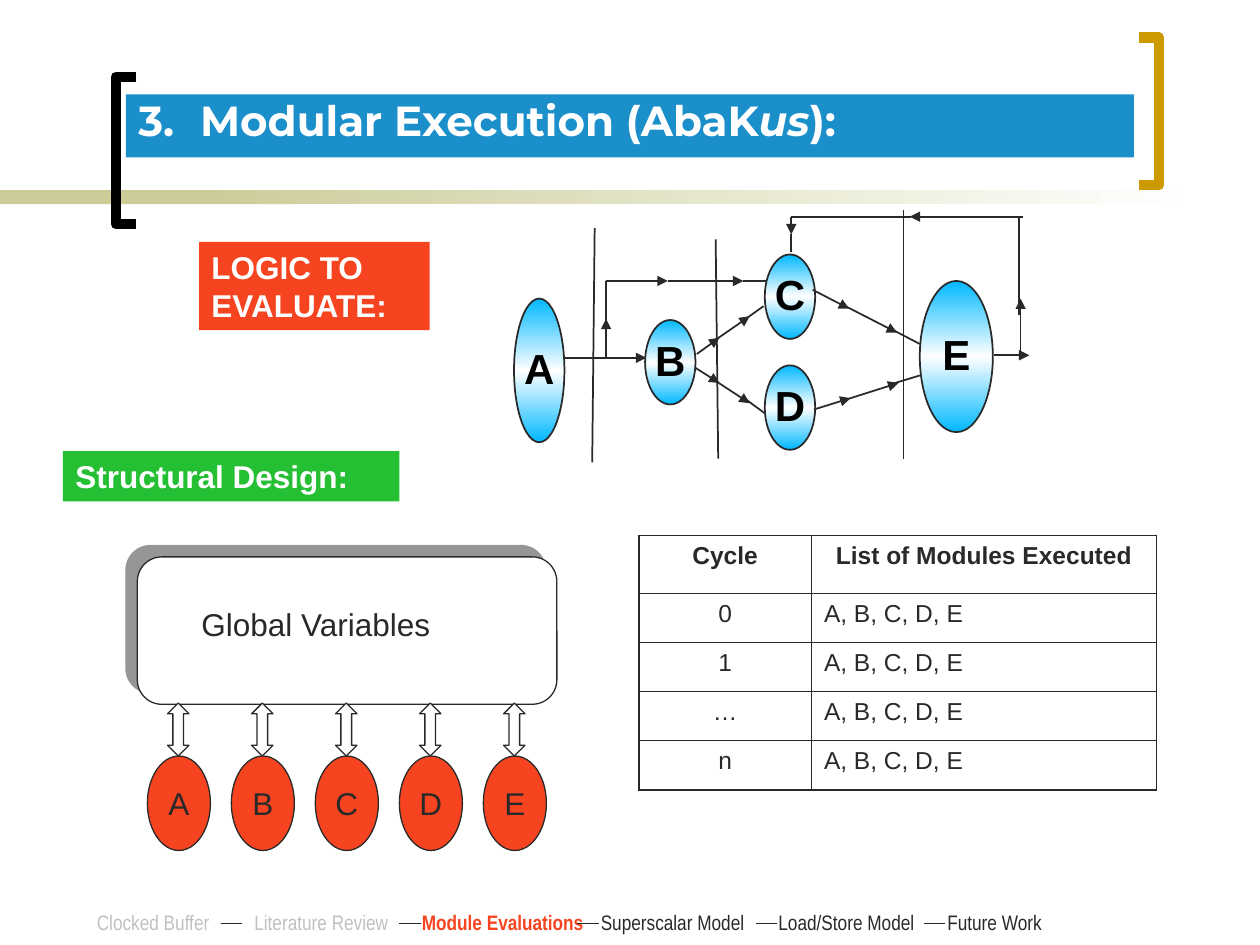
from dataclasses import dataclass
from typing import NamedTuple

from lxml.etree import SubElement
from pptx import Presentation
from pptx.dml.color import RGBColor
from pptx.enum.shapes import MSO_CONNECTOR as Connector, MSO_SHAPE as Preset
from pptx.enum.text import MSO_ANCHOR as Anchor, PP_ALIGN as Align
from pptx.oxml.ns import qn
from pptx.util import Emu, Inches, Pt


@dataclass(frozen=True)
class Theme:
    ink: str = "292929"
    black: str = "000000"
    white: str = "FFFFFF"
    sand: str = "CCCC99"
    gold: str = "CC9900"
    blue: str = "1A8FCA"
    sky: str = "00B8FF"
    red: str = "F64420"
    green: str = "25BF34"
    shade: str = "969696"
    faded: str = "C0C0C0"
    body: str = "Arial"
    heading: str = "Montserrat"
    narrow: str = "Arial Narrow"
    large: float = 24
    medium: float = 18
    cell: float = 14
    small: float = 12
    thin: float = 0.75
    wire: float = 1
    bracket: float = 6
    outer: float = 1.08
    inner: float = 0.45


class Box(NamedTuple):
    left: float
    top: float
    width: float
    height: float


class Node(NamedTuple):
    name: str
    box: Box


class Wire(NamedTuple):
    x1: float
    y1: float
    x2: float
    y2: float
    arrow: bool = False


class Step(NamedTuple):
    label: str
    left: float
    width: float
    color: str
    dash: float | None = None
    bold: bool = False


T = Theme()
NODES = [
    Node("A", Box(4.08, 2.37, 0.4, 1.14)), Node("B", Box(5.12, 2.54, 0.4, 0.67)),
    Node("C", Box(6.07, 2.02, 0.4, 0.67)), Node("D", Box(6.07, 2.9, 0.4, 0.67)),
    Node("E", Box(7.3, 2.23, 0.58, 1.2)),
]
STAGES = [Wire(4.72, 1.81, 4.7, 3.67), Wire(5.68, 1.9, 5.7, 3.64), Wire(7.17, 1.67, 7.17, 3.64)]
FEEDBACK = [
    Wire(7.89, 2.82, 8.17, 2.82, True), Wire(8.1, 2.84, 8.1, 2.37, True), Wire(8.09, 2.5, 8.09, 1.72),
    Wire(8.12, 1.72, 7.22, 1.72, True), Wire(7.23, 1.72, 6.28, 1.72),
    Wire(6.28, 1.72, 6.28, 1.86, True), Wire(6.28, 1.86, 6.28, 2),
]
FORWARD = [
    Wire(4.48, 2.84, 5.13, 2.84, True),
    Wire(4.81, 2.84, 4.81, 2.53, True), Wire(4.81, 2.6, 4.81, 2.23), Wire(4.81, 2.23, 5.13, 2.23),
    Wire(5.13, 2.23, 5.3, 2.23, True), Wire(5.3, 2.23, 5.81, 2.23),
    Wire(5.79, 2.23, 5.9, 2.23, True), Wire(5.9, 2.23, 6.09, 2.23),
    Wire(5.53, 2.81, 5.71, 2.68, True), Wire(5.69, 2.69, 5.95, 2.51, True), Wire(5.92, 2.53, 6.06, 2.43),
    Wire(5.52, 2.92, 5.71, 3.04, True), Wire(5.69, 3.03, 5.95, 3.2, True), Wire(5.92, 3.17, 6.07, 3.28),
    Wire(6.45, 2.3, 6.74, 2.45, True), Wire(6.71, 2.43, 7.12, 2.64, True), Wire(7.07, 2.61, 7.3, 2.73),
    Wire(6.46, 3.25, 6.75, 3.16, True), Wire(6.72, 3.17, 7.13, 3.04, True), Wire(7.07, 3.05, 7.3, 2.98),
]
STEPS = [
    Step("Clocked Buffer", 0.67, 1.25, T.faded), Step("Literature Review", 1.92, 1.42, T.faded, 1.75),
    Step("Module Evaluations", 3.25, 1.5, T.red, 3.17, True),
    Step("Superscalar Model", 4.67, 1.5, T.ink, 4.58),
    Step("Load/Store Model", 6.08, 1.5, T.ink, 6), Step("Future Work", 7.42, 1.75, T.ink, 7.33),
]


def place(box: Box) -> list[Emu]:
    return [Inches(value) for value in box]


def write(frame, *texts: str, size: float = T.medium, color: str = T.ink, font: str = T.body,
          bold: bool = False, italic: str = "", align=Align.LEFT, anchor=Anchor.TOP,
          wrap: bool = True, spacing: float = 1.0, hanging: float = 0) -> None:
    frame.word_wrap = wrap
    frame.vertical_anchor = anchor
    para = frame.paragraphs[0]
    para.alignment, para.line_spacing = align, spacing
    if hanging:
        properties = para._p.get_or_add_pPr()
        properties.set("marL", str(Inches(hanging)))
        properties.set("indent", str(-Inches(hanging)))
    for text in texts:
        span = para.add_run()
        span.text = text
        span.font.name, span.font.size = font, Pt(size)
        span.font.bold, span.font.italic = bold, text == italic
        span.font.color.rgb = RGBColor.from_string(color)


def add_gradient(fill, colors: list[str], angle: float) -> None:
    fill.gradient()
    fill.gradient_angle = angle
    stops = fill._xPr.find(qn("a:gradFill")).find(qn("a:gsLst"))
    for stop in list(stops):
        stops.remove(stop)
    for index, color in enumerate(colors):
        stop = SubElement(stops, qn("a:gs"), pos=str(100000 * index // (len(colors) - 1)))
        SubElement(stop, qn("a:srgbClr"), val=color)


def set_line(line, color: str, width: float) -> None:
    line.color.rgb = RGBColor.from_string(color)
    line.width = Pt(width)


def add_block(page, preset, box: Box, colors: list[str], line: str = "", width: float = T.thin, angle: float = 0):
    shape = page.shapes.add_shape(preset, *place(box))
    shape.shadow.inherit = False
    if len(colors) > 1:
        add_gradient(shape.fill, colors, angle)
    else:
        shape.fill.solid()
        shape.fill.fore_color.rgb = RGBColor.from_string(colors[0])
    if line:
        set_line(shape.line, line, width)
    else:
        shape.line.fill.background()
    return shape


def add_wire(page, wire: Wire, width: float = T.wire) -> None:
    ends = [Inches(value) for value in wire[:4]]
    connector = page.shapes.add_connector(Connector.STRAIGHT, *ends)
    set_line(connector.line, T.ink, width)
    properties = connector.element.spPr
    if wire.arrow:
        SubElement(properties.find(qn("a:ln")), qn("a:tailEnd"), type="triangle")
    SubElement(properties, qn("a:effectLst"))


def add_bracket(page, tip: float, spine: float, top: float, color: str) -> None:
    bottom = top + 1.17
    builder = page.shapes.build_freeform(Inches(tip), Inches(top))
    corners = [(spine, top), (spine, bottom), (tip, bottom)]
    builder.add_line_segments([(Inches(x), Inches(y)) for x, y in corners], close=False)
    shape = builder.convert_to_shape()
    shape.shadow.inherit = False
    shape.fill.background()
    set_line(shape.line, color, T.bracket)


def add_cycle_table(page) -> None:
    rows = [("Cycle", "List of Modules Executed")] + [(cycle, "A, B, C, D, E") for cycle in "01…n"]
    table = page.shapes.add_table(len(rows), 2, *place(Box(5.07, 4.25, 4.11, 2.02))).table
    table.first_row = table.horz_banding = False
    for column, width in zip(table.columns, (1.37, 2.74)):
        column.width = Inches(width)
    for r, texts in enumerate(rows):
        table.rows[r].height = Inches(0.39 if r else 0.46)
        for c, text in enumerate(texts):
            cell = table.cell(r, c)
            outer = {"lnL": c == 0, "lnR": c == 1, "lnT": r == 0, "lnB": r == len(rows) - 1}
            for side, is_outer in outer.items():
                width = Pt(T.outer if is_outer else T.inner)
                edge = SubElement(cell._tc.get_or_add_tcPr(), qn(f"a:{side}"), w=str(width))
                SubElement(SubElement(edge, qn("a:solidFill")), qn("a:srgbClr"), val=T.ink)
            cell.fill.background()
            centred = r == 0 or c == 0
            write(cell.text_frame, text, size=T.cell, bold=r == 0, align=Align.CENTER if centred else Align.LEFT)


def add_header(page) -> None:
    add_block(page, Preset.RECTANGLE, Box(0, 1.51, 2.33, 0.11), [T.sand])
    add_block(page, Preset.RECTANGLE, Box(1.58, 1.51, 7.92, 0.11), [T.sand, T.white])
    add_bracket(page, 1.08, 0.92, 0.61, T.black)
    add_bracket(page, 9.04, 9.2, 0.3, T.gold)
    title = add_block(page, Preset.RECTANGLE, Box(1, 0.75, 8, 0.5), [T.blue])
    write(title.text_frame, "3.\tModular Execution (AbaK", "us", "):", size=T.large, color=T.white,
          font=T.heading, bold=True, italic="us", spacing=0.9, hanging=0.49)


def add_logic(page) -> None:
    centred = dict(align=Align.CENTER, anchor=Anchor.MIDDLE, wrap=False)
    for node in NODES:
        oval = add_block(page, Preset.OVAL, node.box, [T.sky, T.white, T.sky], T.ink, T.wire, 90)
        write(oval.text_frame, node.name, size=T.large, color=T.black, bold=True, spacing=0.93, **centred)
    for wire in STAGES + FEEDBACK + FORWARD:
        add_wire(page, wire)


def add_structure(page) -> None:
    for box, fill, line in ((Box(1, 4.33, 3.33, 1.17), T.shade, T.shade),
                            (Box(1.09, 4.42, 3.33, 1.17), T.white, T.ink)):
        add_block(page, Preset.ROUNDED_RECTANGLE, box, [fill], line)
    for index, node in enumerate(NODES):
        left = 1.17 + index * 2 / 3
        oval = add_block(page, Preset.OVAL, Box(left, 6, 0.5, 0.75), [T.red], T.ink)
        write(oval.text_frame, node.name, align=Align.CENTER, anchor=Anchor.MIDDLE, wrap=False)
        add_block(page, Preset.UP_DOWN_ARROW, Box(left + 0.16, 5.58, 0.17, 0.42), [T.white], T.ink)
    label = page.shapes.add_textbox(*place(Box(1.5, 4.75, 2.42, 0.4)))
    write(label.text_frame, "Global Variables")


def add_footer(page) -> None:
    for step in STEPS:
        box = page.shapes.add_textbox(*place(Box(step.left, 7.17, step.width, 0.3)))
        write(box.text_frame, step.label, size=T.small, color=step.color, font=T.narrow, bold=step.bold)
        if step.dash is not None:
            add_wire(page, Wire(step.dash, 7.33, step.dash + 0.17, 7.33), T.thin)


def main() -> None:
    """Build the modular execution slide."""
    deck = Presentation()
    deck.slide_width, deck.slide_height = Inches(10), Inches(7.5)
    page = deck.slides.add_slide(deck.slide_layouts[6])
    add_header(page)
    add_logic(page)
    add_structure(page)
    add_cycle_table(page)
    for text, box, color in (("LOGIC TO EVALUATE:", Box(1.58, 1.92, 1.83, 0.7), T.red),
                             ("Structural Design:", Box(0.5, 3.58, 2.67, 0.4), T.green)):
        tag = add_block(page, Preset.RECTANGLE, box, [color])
        write(tag.text_frame, text, color=T.white, bold=True)
    add_footer(page)
    deck.save("out.pptx")


if __name__ == "__main__":
    main()
